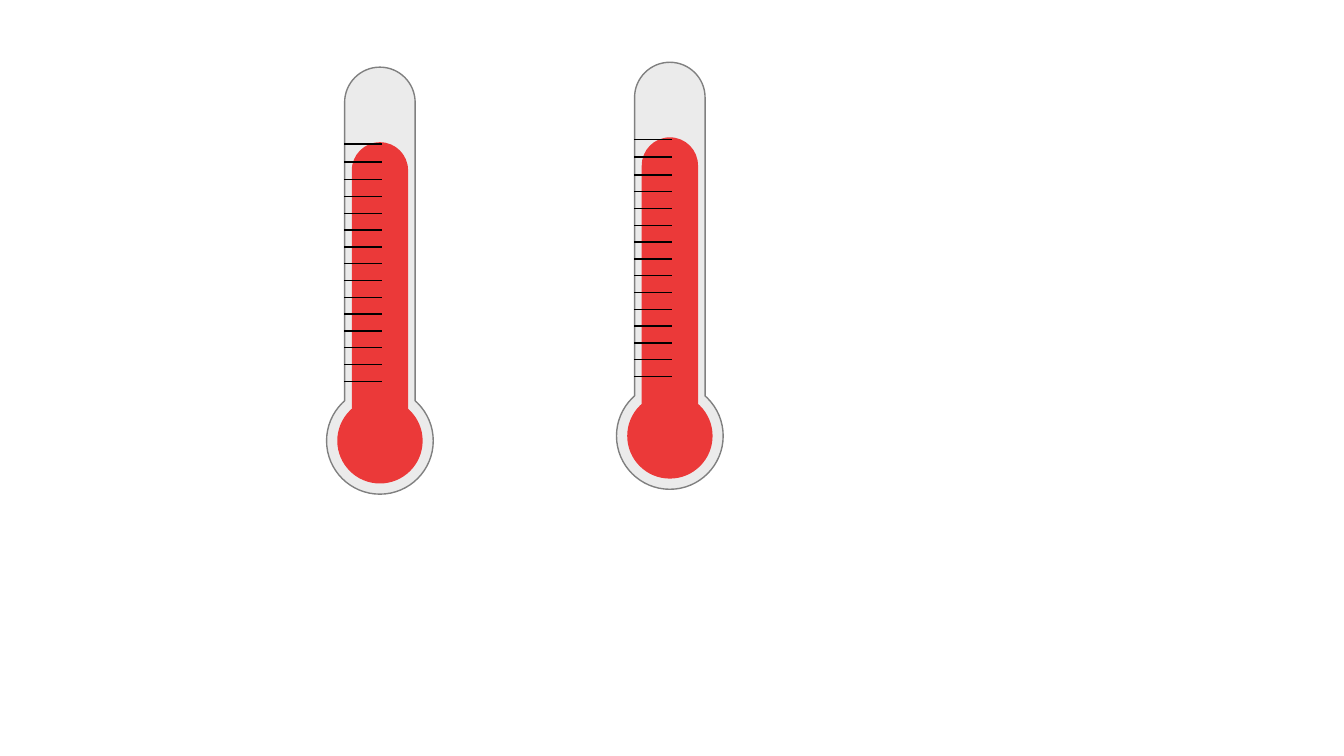
from dataclasses import dataclass
from math import cos, pi, sin, sqrt, tan

from lxml import etree
from pptx import Presentation
from pptx.dml.color import RGBColor
from pptx.enum.shapes import MSO_CONNECTOR
from pptx.oxml.ns import qn
from pptx.util import Pt

STRAIGHT = MSO_CONNECTOR.STRAIGHT
BLANK_LAYOUT = 6


@dataclass(frozen=True)
class Theme:
    mercury: RGBColor = RGBColor(0xFF, 0x00, 0x00)
    glass: RGBColor = RGBColor(0xBF, 0xBF, 0xBF)
    glass_opacity: int = 30
    rim: RGBColor = RGBColor(0x80, 0x80, 0x80)
    tick: RGBColor = RGBColor(0x00, 0x00, 0x00)
    stroke: float = 1


THEME = Theme()


def set_line(line, color):
    line.fill.solid()
    line.fill.fore_color.rgb = color
    for attribute, value in {"width": Pt(THEME.stroke)}.items():
        setattr(line, attribute, value)


def arc(center_x, center_y, radius, start, end):
    reach = 4 / 3 * tan((end - start) / 4)
    return [
        (Pt(center_x + radius * (cos(angle) - pull * sin(angle))),
         Pt(center_y + radius * (sin(angle) + pull * cos(angle))))
        for angle, pull in ((start, reach), (end, -reach), (end, 0))
    ]


def bend(tube, segments):
    path_element = next(tube._element.spPr.iter(qn("a:path")))
    for straight, points in zip(path_element.findall(qn("a:lnTo")), segments):
        if len(points) == 1:
            continue
        curve = etree.Element(qn("a:cubicBezTo"))
        for x, y in points:
            point = etree.SubElement(curve, qn("a:pt"))
            point.set("x", str(x - tube.left))
            point.set("y", str(y - tube.top))
        path_element.replace(straight, curve)


def add_tube(shapes, axis, top, bulb_y, stem_radius, bulb_radius, color):
    shoulder = top + stem_radius
    neck = bulb_y - sqrt(bulb_radius ** 2 - stem_radius ** 2)
    diagonal = bulb_radius * sqrt(0.5)
    bulb_turns = (-pi / 4, 0, pi / 2, pi, 5 * pi / 4)
    segments = [
        arc(axis, shoulder, stem_radius, -pi / 2, 0),
        [(Pt(axis + stem_radius), Pt(neck))],
        [(Pt(axis + diagonal), Pt(bulb_y - diagonal))],
        *(arc(axis, bulb_y, bulb_radius, *turn) for turn in zip(bulb_turns, bulb_turns[1:])),
        [(Pt(axis - stem_radius), Pt(neck))],
        [(Pt(axis - stem_radius), Pt(shoulder))],
        arc(axis, shoulder, stem_radius, pi, 3 * pi / 2),
    ]
    builder = shapes.build_freeform(Pt(axis), Pt(top))
    builder.add_line_segments([points[-1] for points in segments], close=True)
    tube = builder.convert_to_shape()
    bend(tube, segments)
    tube.shadow.inherit = False
    tube.fill.solid()
    tube.fill.fore_color.rgb = color
    return tube


def add_tick(shapes, left, y, length):
    tick = shapes.add_connector(STRAIGHT, Pt(left), Pt(y), Pt(left + length), Pt(y))
    set_line(tick.line, THEME.tick)
    etree.SubElement(tick._element.spPr, qn("a:effectLst"))


def add_thermometer(slide, left, top, width, height):
    shapes = slide.shapes.add_group_shape().shapes
    axis = left + width / 2
    bulb_radius = width / 2
    bulb_y = top + height - bulb_radius

    mercury = add_tube(shapes, axis, top + 53.6, bulb_y, 20.1, bulb_radius * 0.8, THEME.mercury)
    mercury.line.fill.background()

    glass = add_tube(shapes, axis, top, bulb_y, 25.2, bulb_radius, THEME.glass)
    set_line(glass.line, THEME.rim)
    tint = glass._element.spPr.find(qn("a:solidFill")).find(qn("a:srgbClr"))
    etree.SubElement(tint, qn("a:alpha")).set("val", str(THEME.glass_opacity * 1000))

    regular_ticks = [80.4 + 12 * index for index in range(13)]
    for offset in regular_ticks + [55, 67.8]:
        add_tick(shapes, left + 12.6, top + offset, 27)


def main():
    deck = Presentation()
    deck.slide_width, deck.slide_height = Pt(960), Pt(540)
    slide = deck.slides.add_slide(deck.slide_layouts[BLANK_LAYOUT])
    for left, top in ((233.3, 48), (440.4, 44.5)):
        add_thermometer(slide, left, top, 76.2, 305)
    deck.save("out.pptx")


if __name__ == "__main__":
    main()
